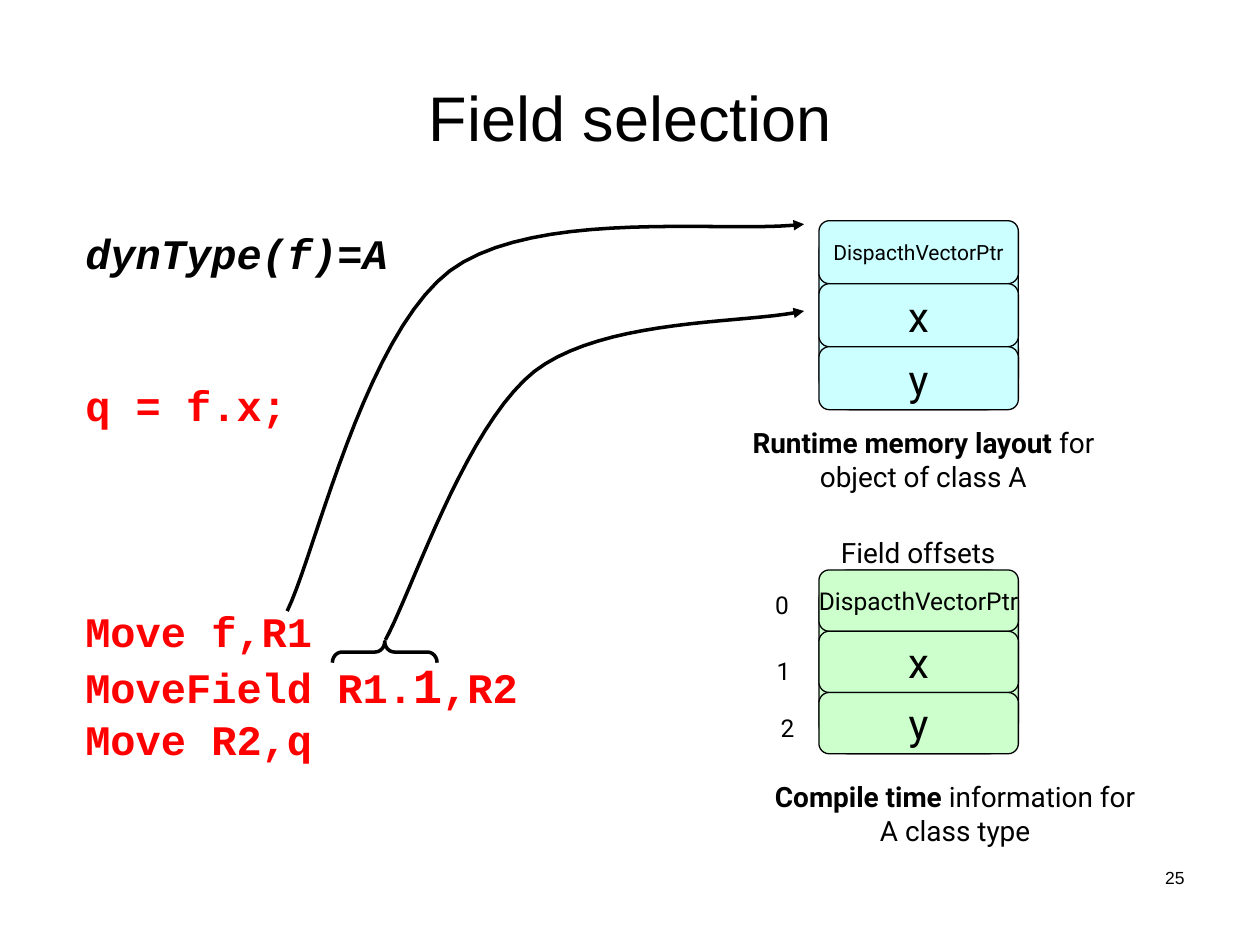
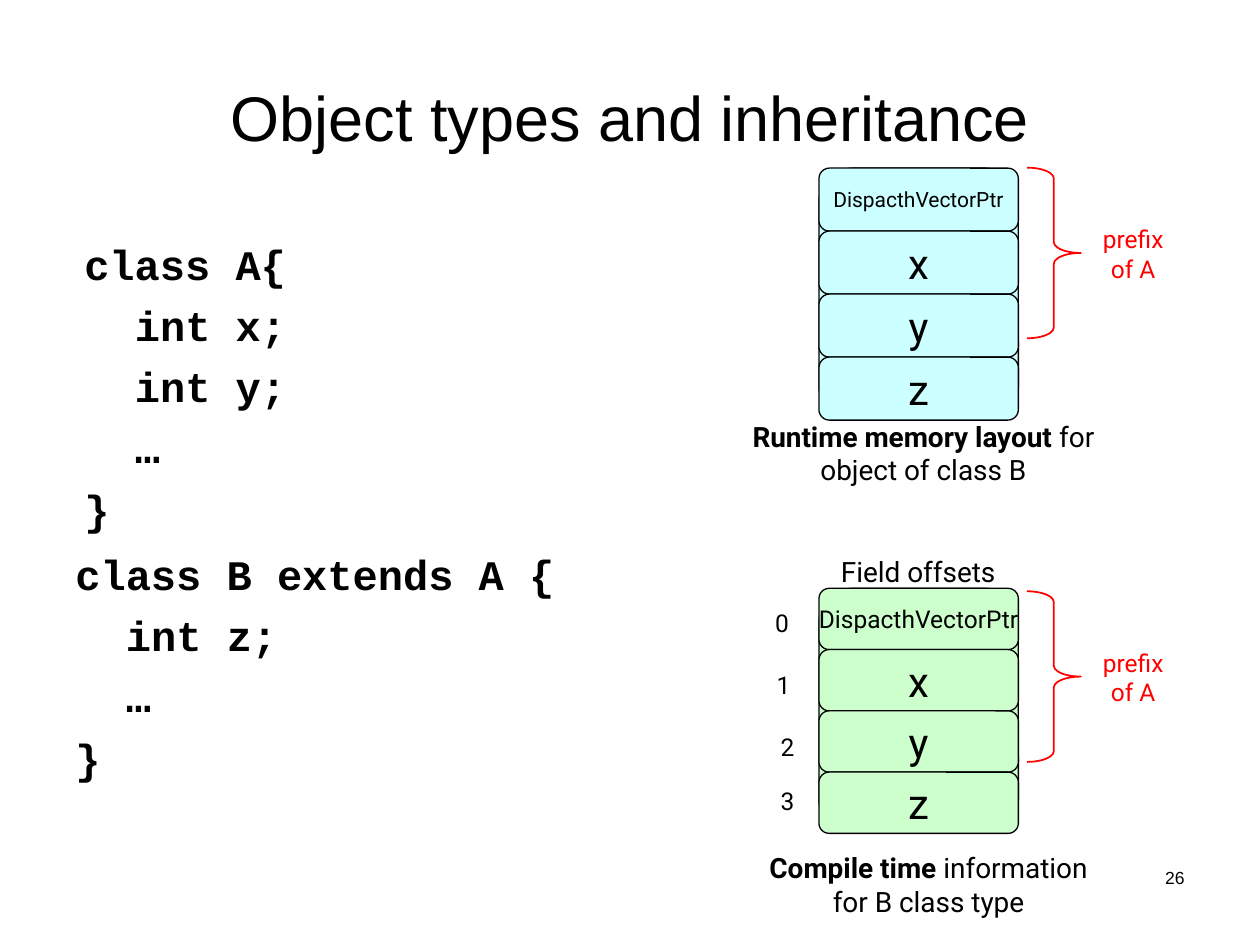
import lxml.etree
import pptx
import pptx.dml.color
import pptx.enum.shapes
import pptx.enum.text
import pptx.oxml.ns
import pptx.util

Cm, Pt = pptx.util.Cm, pptx.util.Pt
SHAPE = pptx.enum.shapes.MSO_SHAPE
ALIGN = pptx.enum.text.PP_ALIGN
ANCHOR = pptx.enum.text.MSO_ANCHOR

COLORS = {"ink": "000000", "code": "FF0000", "runtime": "CCFFFF", "compile": "CCFFCC"}
TITLE_FONT, CODE_FONT, LABEL_FONT = "Arial", "Courier New", "Roboto"
TABLE_LEFT, TABLE_WIDTH = 16.51, 4.02
OFFSET_LEFTS = (15.37, 15.4, 15.48, 15.48)
CODE_INDENT = 1.02


def rgb(name):
    return pptx.dml.color.RGBColor.from_string(COLORS[name])


def bezier(start, c1, c2, end, steps=20):
    """Points along a cubic curve, without its start."""
    points = []
    for i in range(1, steps + 1):
        t = i / steps
        u = 1 - t
        points.append(tuple(
            u**3 * a + 3 * u * u * t * b + 3 * u * t * t * c + t**3 * d
            for a, b, c, d in zip(start, c1, c2, end)))
    return points


class Deck:
    """Holds the shared style and the slide being built."""

    def __init__(self):
        self.prs = pptx.Presentation()
        self.prs.slide_width, self.prs.slide_height = Cm(25.4), Cm(19.05)
        self.s = None

    def new_slide(self, title, number):
        self.s = self.prs.slides.add_slide(self.prs.slide_layouts[5])
        sp = self.s.shapes.title
        sp.left, sp.top, sp.width, sp.height = Cm(1.27), Cm(0.76), Cm(22.86), Cm(3.18)
        tf = sp.text_frame
        tf.vertical_anchor = ANCHOR.MIDDLE
        p = tf.paragraphs[0]
        p.alignment = ALIGN.CENTER
        self.run(p, title, 36, TITLE_FONT)
        self.text(18.21, 17.35, 5.92, 1.27, [(number, {"size": 10, "font": TITLE_FONT})],
                  align=ALIGN.RIGHT)

    def run(self, p, text, size=16, font=LABEL_FONT, color="ink", bold=False, italic=False):
        """Add text to a paragraph, with a line break at each newline."""
        for i, line in enumerate(text.split("\n")):
            if i:
                p.add_line_break()
            r = p.add_run()
            r.text = line
            r.font.size, r.font.name = Pt(size), font
            r.font.bold, r.font.italic = bold, italic
            r.font.color.rgb = rgb(color)

    def frame(self, left, top, width, height, wrap=True):
        tf = self.s.shapes.add_textbox(Cm(left), Cm(top), Cm(width), Cm(height)).text_frame
        tf.word_wrap = wrap
        return tf

    def text(self, left, top, width, height, runs, wrap=True, align=ALIGN.CENTER):
        p = self.frame(left, top, width, height, wrap).paragraphs[0]
        p.alignment = align
        for text, style in runs:
            self.run(p, text, **style)

    def caption(self, left, top, width, strong, rest):
        self.text(left, top, width, 1.63, [(strong, {"bold": True}), (rest, {})])

    def code(self, left, top, width, height, lines, before=0, color="ink"):
        """Lines are strings or lists of (text, style); a leading tab indents."""
        tf = self.frame(left, top, width, height)
        for i, line in enumerate(lines):
            p = tf.paragraphs[0] if i == 0 else tf.add_paragraph()
            p.space_before = Pt(before if i else 0)
            runs = [(line, {})] if isinstance(line, str) else line
            if runs[0][0].startswith("\t"):
                p._p.get_or_add_pPr().set("marL", str(Cm(CODE_INDENT)))
            sizes = [style.get("size", 24) for _, style in runs]
            p.line_spacing = Pt(33 if max(sizes) > 24 else 29)
            for text, style in runs:
                look = {"size": 24, "font": CODE_FONT, "color": color, "bold": True}
                self.run(p, text.lstrip("\t"), **{**look, **style})

    def box(self, top, height, fill):
        sp = self.s.shapes.add_shape(SHAPE.ROUNDED_RECTANGLE, Cm(TABLE_LEFT), Cm(top),
                                     Cm(TABLE_WIDTH), Cm(height))
        sp.shadow.inherit = False
        sp.fill.solid()
        sp.fill.fore_color.rgb = rgb(fill)
        sp.line.color.rgb, sp.line.width = rgb("ink"), Pt(0.75)
        return sp

    def layout_stack(self, top, row, fields, fill, pointer_size):
        """Stacked cells: the dispatch pointer, then the fields."""
        names = ["DispacthVectorPtr", *fields]
        self.box(top, row * len(names), fill)
        for i, name in enumerate(names):
            tf = self.box(top + i * row, row, fill).text_frame
            tf.word_wrap = False
            tf.vertical_anchor = ANCHOR.MIDDLE
            p = tf.paragraphs[0]
            p.alignment = ALIGN.CENTER
            self.run(p, name, 24 if i else pointer_size)

    def runtime_layout(self, top, fields):
        self.layout_stack(top, 1.27, fields, "runtime", 12)

    def compile_layout(self, top, fields, offset_tops):
        self.text(TABLE_LEFT, top - 0.81, 4, 0.94, [("Field offsets", {})])
        self.layout_stack(top, 1.235, fields, "compile", 14)
        for i, (left, label_top) in enumerate(zip(OFFSET_LEFTS, offset_tops)):
            self.text(left, label_top, 0.79, 0.86, [(str(i), {"size": 14})], wrap=False)

    def brace(self, kind, left, top, width, height, color, weight, curve, rotation=0):
        sp = self.s.shapes.add_shape(kind, Cm(left), Cm(top), Cm(width), Cm(height))
        sp.shadow.inherit = False
        sp.adjustments[0] = curve
        sp.rotation = rotation
        sp.fill.background()
        sp.line.color.rgb, sp.line.width = rgb(color), Pt(weight)

    def prefix_brace(self, top):
        self.brace(SHAPE.RIGHT_BRACE, 20.7, top, 1.09, 3.44, "code", 1, 0.2)
        self.text(21.92, top + 1.02, 1.85, 1.45,
                  [("prefix\nof A", {"size": 14, "color": "code"})], wrap=False)

    def curved_arrow(self, start, *curves):
        points = [start]
        for curve in curves:
            points += bezier(points[-1], *curve)
        points = [(Cm(x), Cm(y)) for x, y in points]
        builder = self.s.shapes.build_freeform(*points[0])
        builder.add_line_segments(points[1:], close=False)
        sp = builder.convert_to_shape()
        sp.shadow.inherit = False
        sp.fill.background()
        sp.line.color.rgb, sp.line.width = rgb("ink"), Pt(2)
        ln = sp.line._get_or_add_ln()
        lxml.etree.SubElement(ln, pptx.oxml.ns.qn("a:round"))
        lxml.etree.SubElement(ln, pptx.oxml.ns.qn("a:tailEnd"), type="triangle")


def field_selection(deck):
    deck.new_slide("Field selection", "25")
    deck.code(1.47, 4.45, 8, 5.33, [[("dynType(f)=A", {"italic": True})],
                                    [("q = f.x;", {"color": "code"})]], before=58)
    deck.code(1.47, 12.07, 10.5, 3.48,
              ["Move f,R1",
               [("MoveField R1.", {}), ("1", {"size": 28}), (",R2", {})],
               "Move R2,q"], color="code")
    deck.curved_arrow((5.79, 12.32),
                      ((6.35, 11.18), (7.34, 6.78), (9.07, 5.46)),
                      ((10.82, 4.17), (14.71, 4.72), (16.21, 4.52)))
    deck.curved_arrow((7.77, 12.9),
                      ((8.28, 11.99), (9.37, 8.61), (10.77, 7.49)),
                      ((12.19, 6.4), (15.06, 6.53), (16.21, 6.27)))
    deck.brace(SHAPE.LEFT_BRACE, 7.54, 12.09, 0.43, 2.11, "ink", 2, 0.45, rotation=90)
    deck.runtime_layout(4.45, "xy")
    deck.caption(14.17, 8.46, 8.89, "Runtime memory layout", " for object of class A")
    deck.compile_layout(11.49, "xy", (11.76, 13.11, 14.25))
    deck.caption(14.81, 15.6, 8.89, "Compile time", " information for\nA class type")


def inheritance(deck):
    deck.new_slide("Object types and inheritance", "26")
    deck.code(1.45, 4.67, 11.89, 7.24,
              ["class A{", "\tint x;", "\tint y;", "\t…", "}"], before=6)
    deck.code(1.27, 10.92, 10.44, 4.88,
              ["class B extends A {", "\tint z;", "\t…", "}"], before=6)
    deck.runtime_layout(3.39, "xyz")
    deck.caption(14.17, 8.33, 8.89, "Runtime memory layout", " for object of class B")
    deck.compile_layout(11.86, "xyz", (12.14, 13.39, 14.63, 15.72))
    deck.caption(13.54, 17.02, 10.36, "Compile time", " information\nfor B class type")
    for top in (3.38, 11.92):
        deck.prefix_brace(top)


def main():
    deck = Deck()
    field_selection(deck)
    inheritance(deck)
    deck.prs.save("out.pptx")


if __name__ == "__main__":
    main()
